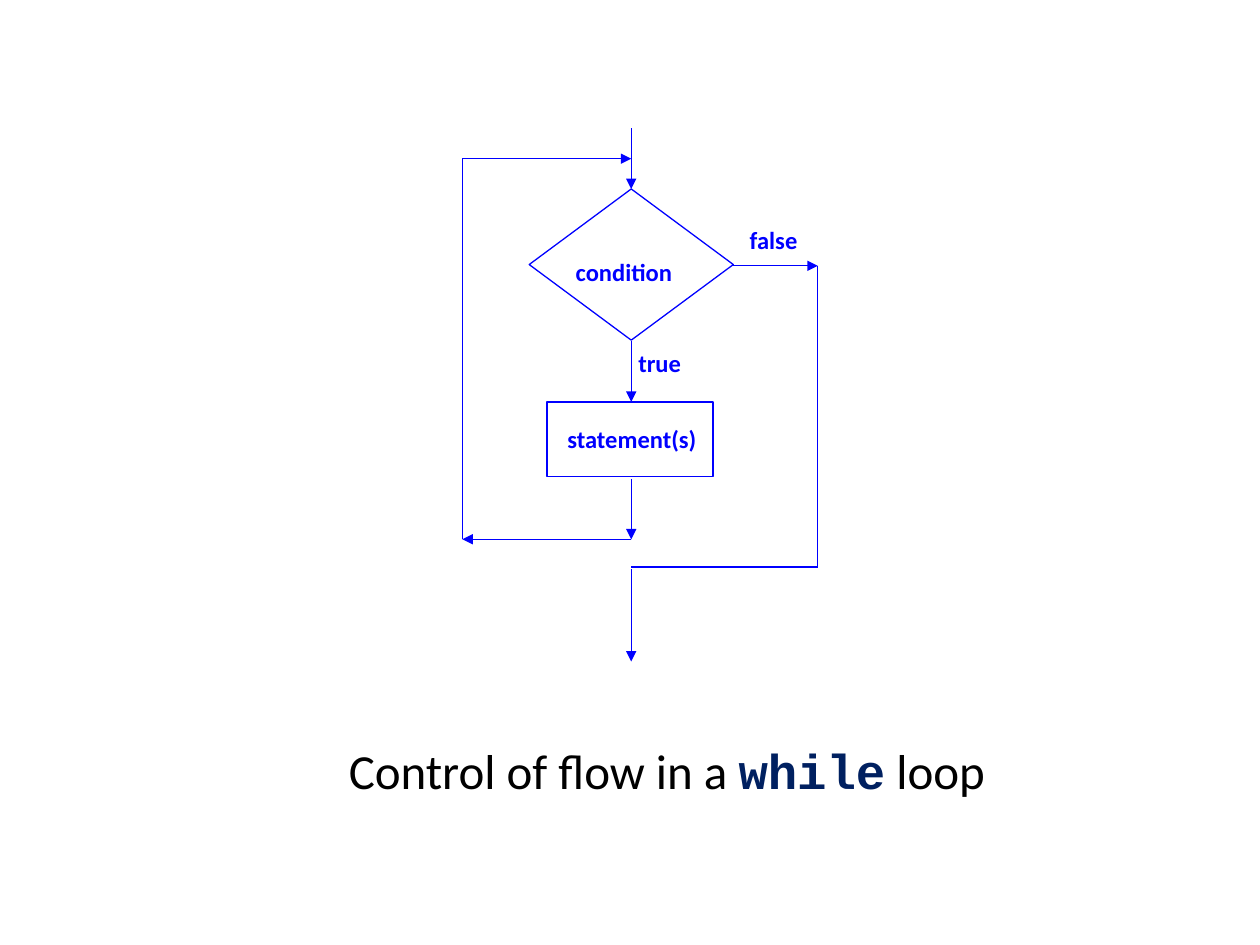
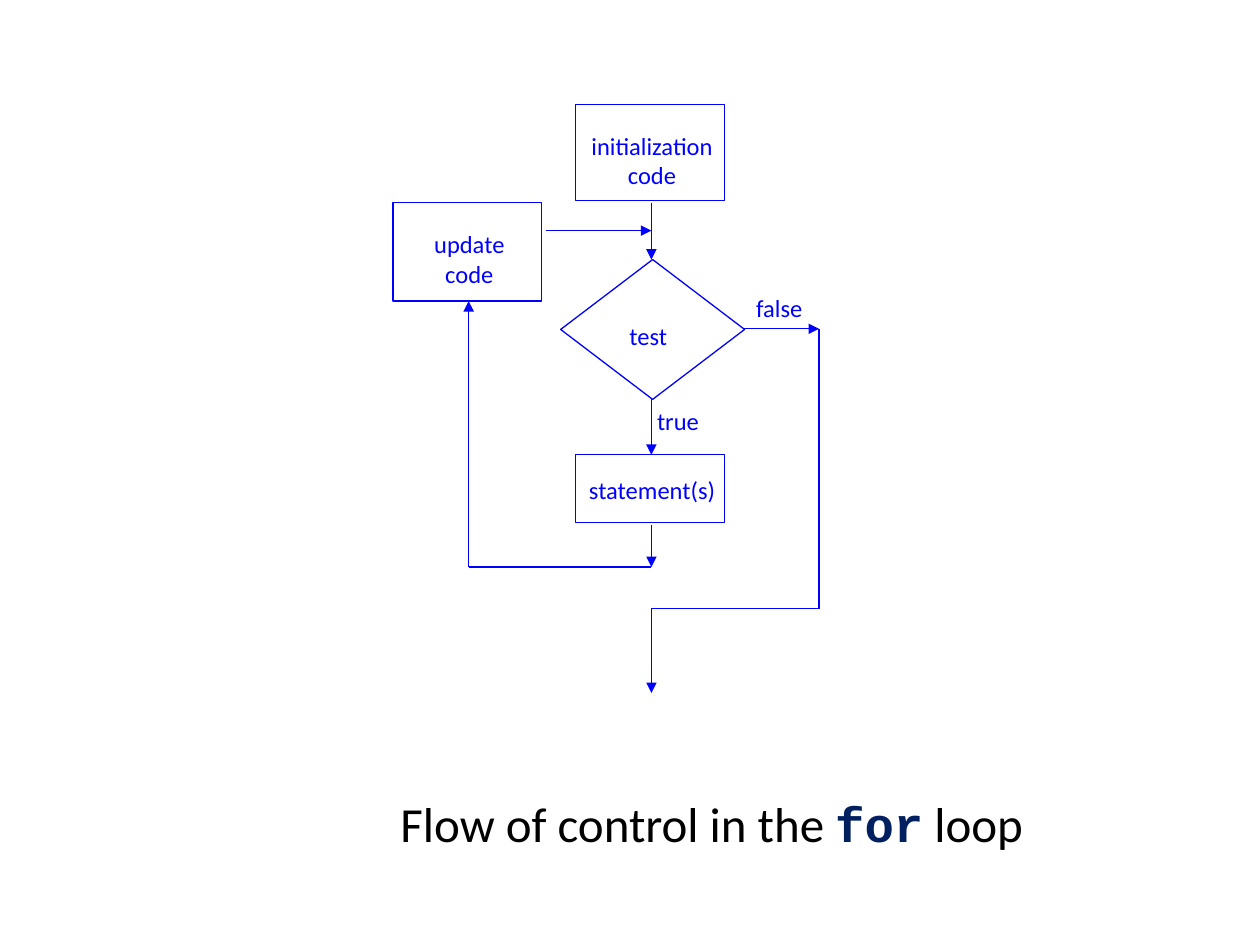
from dataclasses import dataclass

from lxml import etree
from pptx import Presentation
from pptx.dml.color import RGBColor
from pptx.enum.shapes import MSO_CONNECTOR, MSO_SHAPE
from pptx.enum.text import MSO_ANCHOR, PP_ALIGN
from pptx.oxml.ns import qn
from pptx.util import Inches, Pt

STRAIGHT = MSO_CONNECTOR.STRAIGHT
PROCESS = MSO_SHAPE.RECTANGLE
DECISION = MSO_SHAPE.FLOWCHART_DECISION
LEFT, CENTER = PP_ALIGN.LEFT, PP_ALIGN.CENTER
TOP = MSO_ANCHOR.TOP


@dataclass(frozen=True)
class Theme:
    flow: RGBColor = RGBColor(0x00, 0x00, 0xFF)
    caption: RGBColor = RGBColor(0x00, 0x00, 0x00)
    keyword: RGBColor = RGBColor(0x00, 0x20, 0x60)
    body_font: str = "Calibri"
    code_font: str = "Courier New"
    label_size: int = 14
    caption_size: int = 28
    line_width: float = 0.75


@dataclass(frozen=True)
class Area:
    left: float
    top: float
    width: float
    height: float

    def lengths(self):
        return [Inches(n) for n in (self.left, self.top, self.width, self.height)]


@dataclass(frozen=True)
class Node:
    kind: int
    area: Area


@dataclass(frozen=True)
class Label:
    text: str
    area: Area
    align: int = CENTER
    inset: float = 0.1


@dataclass(frozen=True)
class Route:
    points: tuple
    arrows: tuple


@dataclass(frozen=True)
class Caption:
    before: str
    keyword: str
    after: str
    area: Area


@dataclass(frozen=True)
class Flowchart:
    nodes: tuple
    labels: tuple
    routes: tuple
    caption: Caption
    bold: bool


THEME = Theme()


def style_line(line) -> None:
    line.color.rgb = THEME.flow
    line.width = Pt(THEME.line_width)


def style_span(span, size: int, font: str, color: RGBColor, bold: bool) -> None:
    span.font.size = Pt(size)
    span.font.name = font
    span.font.color.rgb = color
    span.font.bold = bold


def add_text_frame(page, area: Area):
    frame = page.shapes.add_textbox(*area.lengths()).text_frame
    frame.word_wrap = True
    frame.vertical_anchor = TOP
    return frame


def draw_node(page, node: Node) -> None:
    box = page.shapes.add_shape(node.kind, *node.area.lengths())
    box.shadow.inherit = False
    box.fill.background()
    style_line(box.line)


def draw_label(page, label: Label, bold: bool) -> None:
    frame = add_text_frame(page, label.area)
    frame.margin_left = Inches(label.inset)
    frame.text = label.text
    for para in frame.paragraphs:
        para.alignment = label.align
        for span in para.runs:
            style_span(span, THEME.label_size, THEME.body_font, THEME.flow, bold)


def draw_route(page, route: Route) -> None:
    for start, end, arrow in zip(route.points, route.points[1:], route.arrows):
        ends = [Inches(n) for n in (*start, *end)]
        connector = page.shapes.add_connector(STRAIGHT, *ends)
        style_line(connector.line)
        if arrow:
            outline = connector.line._get_or_add_ln()
            etree.SubElement(outline, qn("a:tailEnd"), type="triangle")
        etree.SubElement(connector._element.spPr, qn("a:effectLst"))


def draw_caption(page, caption: Caption) -> None:
    para = add_text_frame(page, caption.area).paragraphs[0]
    para.alignment = LEFT
    for text in (caption.before, caption.keyword, caption.after):
        is_code = text == caption.keyword
        span = para.add_run()
        span.text = text
        style_span(
            span,
            THEME.caption_size,
            THEME.code_font if is_code else THEME.body_font,
            THEME.keyword if is_code else THEME.caption,
            is_code,
        )


def draw_flowchart(deck, chart: Flowchart) -> None:
    page = deck.slides.add_slide(deck.slide_layouts[6])
    for node in chart.nodes:
        draw_node(page, node)
    for route in chart.routes:
        draw_route(page, route)
    for label in chart.labels:
        draw_label(page, label, chart.bold)
    draw_caption(page, chart.caption)


def down(x: float, top: float, bottom: float) -> Route:
    return Route(((x, top), (x, bottom)), (True,))


def while_loop() -> Flowchart:
    axis, back, leave = 5.01, 3.67, 6.49
    merge, turn, rejoin = 1.26, 4.28, 4.5
    return Flowchart(
        nodes=(
            Node(DECISION, Area(4.2, 1.5, 1.62, 1.2)),
            Node(PROCESS, Area(4.34, 3.19, 1.32, 0.59)),
        ),
        labels=(
            Label("condition", Area(4.47, 1.99, 1.02, 0.42), LEFT),
            Label("true", Area(4.74, 2.71, 0.9, 0.42), inset=0.19),
            Label("false", Area(5.69, 1.74, 0.9, 0.42)),
            Label("statement(s)", Area(4.34, 3.32, 1.35, 0.36)),
        ),
        routes=(
            down(axis, 1.02, 1.5),
            down(axis, 2.71, 3.19),
            down(axis, 3.8, turn),
            Route(
                ((axis, turn), (back, turn), (back, merge), (axis, merge)),
                (True, False, True),
            ),
            Route(
                ((5.82, 2.11), (leave, 2.11), (leave, rejoin), (axis, rejoin)),
                (True, False, False),
            ),
            down(axis, 4.52, 5.25),
        ),
        caption=Caption(
            "Control of flow in a ", "while", " loop", Area(2.67, 5.83, 5.67, 0.57)
        ),
        bold=True,
    )


def for_loop() -> Flowchart:
    axis, back, leave = 5.17, 3.72, 6.5
    merge, turn, rejoin = 1.83, 4.5, 4.83
    return Flowchart(
        nodes=(
            Node(PROCESS, Area(4.57, 0.83, 1.18, 0.76)),
            Node(PROCESS, Area(3.12, 1.61, 1.18, 0.78)),
            Node(DECISION, Area(4.45, 2.06, 1.46, 1.11)),
            Node(PROCESS, Area(4.57, 3.61, 1.18, 0.54)),
        ),
        labels=(
            Label("initialization code", Area(4.57, 0.99, 1.21, 0.47)),
            Label("update\ncode", Area(3.12, 1.77, 1.21, 0.48)),
            Label("test", Area(4.69, 2.5, 0.91, 0.38)),
            Label("true", Area(4.93, 3.17, 0.81, 0.39), inset=0.19),
            Label("false", Area(5.78, 2.28, 0.81, 0.39)),
            Label("statement(s)", Area(4.57, 3.72, 1.21, 0.34)),
        ),
        routes=(
            down(axis, 1.61, 2.06),
            Route(((4.33, merge), (axis, merge)), (True,)),
            down(axis, 3.17, 3.61),
            down(axis, 4.17, turn),
            Route(((axis, turn), (back, turn), (back, 2.39)), (False, True)),
            Route(
                ((5.9, 2.61), (leave, 2.61), (leave, rejoin), (axis, rejoin)),
                (True, False, False),
            ),
            down(axis, rejoin, 5.5),
        ),
        caption=Caption(
            "Flow of control in the ", "for", " loop", Area(3.08, 6.25, 5.42, 0.57)
        ),
        bold=False,
    )


def main() -> None:
    deck = Presentation()
    deck.slide_width, deck.slide_height = Inches(10), Inches(7.5)
    for chart in (while_loop(), for_loop()):
        draw_flowchart(deck, chart)
    deck.save("out.pptx")


main()
